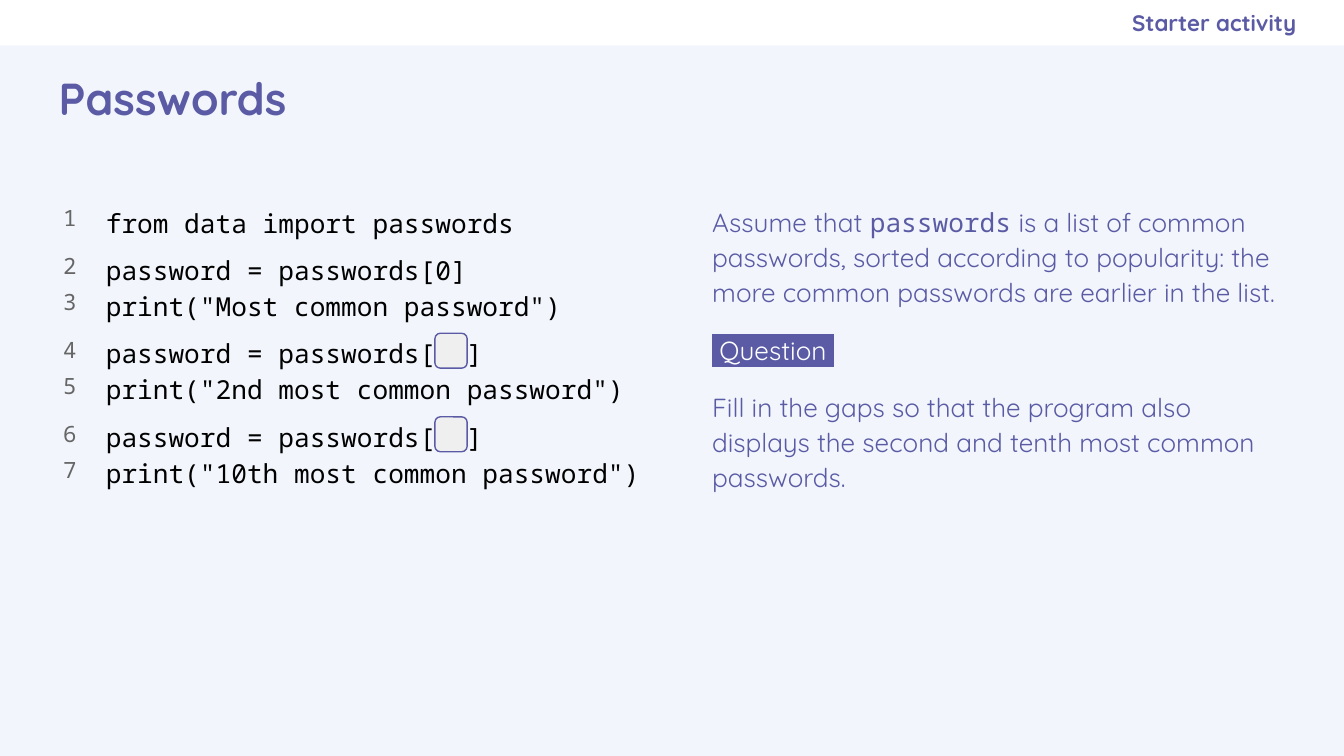
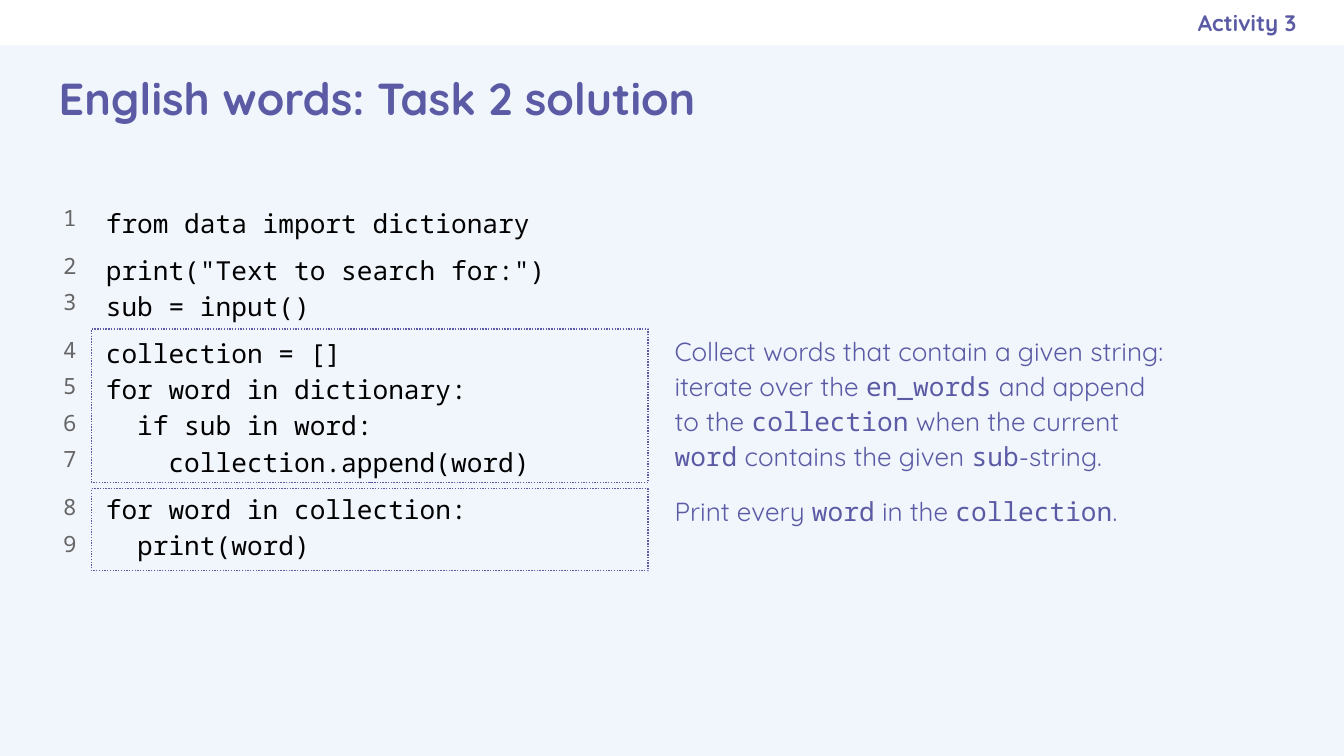
from pptx import Presentation
from pptx.dml.color import RGBColor
from pptx.enum.dml import MSO_LINE
from pptx.enum.shapes import MSO_SHAPE
from pptx.enum.text import MSO_ANCHOR, MSO_AUTO_SIZE, PP_ALIGN
from pptx.oxml.ns import qn
from pptx.util import Cm, Pt
from lxml.etree import SubElement

HUES = {
    "ink": "5B5BA5", "code": "000000", "count": "666666", "white": "FFFFFF",
    "gap": "EFEFEF", "pale": "F2F6FC", "tint": "F1F5FC",
}
SANS, MONO = "Quicksand", "Noto Sans Mono"
WIDE, HIGH, BAND = 25.4, 14.29, 0.86

HEAD = {"font": {"name": SANS, "size": Pt(24), "bold": True}, "hue": "ink"}
TAG = {"font": {"name": SANS, "size": Pt(12), "bold": True}, "hue": "ink",
       "para": {"alignment": PP_ALIGN.RIGHT}}
CODE = {"font": {"name": MONO, "size": Pt(14), "bold": False}, "hue": "code",
        "para": {"line_spacing": 1.15}}
COUNT = {"font": {"name": MONO, "size": Pt(12)}, "hue": "count",
         "para": {"alignment": PP_ALIGN.RIGHT, "line_spacing": 1.15}}
PROSE = {"font": {"name": SANS, "size": Pt(14)}, "hue": "ink",
         "para": {"line_spacing": 1.12}}


def color(key):
    return RGBColor.from_string(HUES[key])


def apply(item, form):
    for key, value in form.items():
        setattr(item, key, value)


def place(shape, box):
    names = ("left", "top", "width", "height")
    apply(shape, {name: Cm(size) for name, size in zip(names, box)})


def plain(para):
    props = para._p.get_or_add_pPr()
    props.set("marL", "0")
    props.set("indent", "0")
    SubElement(props, qn("a:buNone"))


def write(shape, lines, form, inset=(0.25, 0.25, 0.25, 0.25), anchor=MSO_ANCHOR.TOP):
    frame = shape.text_frame
    sides = ("margin_left", "margin_top", "margin_right", "margin_bottom")
    apply(frame, {side: Cm(size) for side, size in zip(sides, inset)})
    apply(frame, {"word_wrap": True, "auto_size": MSO_AUTO_SIZE.NONE,
                  "vertical_anchor": anchor})
    for index, (text, before) in enumerate(lines):
        para = frame.add_paragraph() if index else frame.paragraphs[0]
        base = {"alignment": PP_ALIGN.LEFT, "space_before": Pt(before)}
        apply(para, base | form.get("para", {}))
        plain(para)
        for turn, part in enumerate(text.split("`")):
            run = para.add_run()
            run.text = part
            apply(run.font, form["font"])
            if turn % 2:
                run.font.name = MONO
            run.font.color.rgb = color(form["hue"])


def text_box(slide, box):
    return slide.shapes.add_textbox(*map(Cm, box))


def block(slide, kind, box, fill=None, line=None, dash=None):
    shape = slide.shapes.add_shape(kind, *map(Cm, box))
    shape.shadow.inherit = False
    if fill:
        shape.fill.solid()
        shape.fill.fore_color.rgb = color(fill)
    else:
        shape.fill.background()
    if line:
        shape.line.color.rgb = color(line)
        apply(shape.line, {"width": Pt(0.75), "dash_style": dash})
    else:
        shape.line.fill.background()
    return shape


def base(deck, title, tag, hue):
    slide = deck.slides.add_slide(deck.slide_layouts[3])
    slide.background.fill.solid()
    slide.background.fill.fore_color.rgb = color(hue)
    band = block(slide, MSO_SHAPE.RECTANGLE, (0, 0, WIDE, BAND), "white")
    slide.shapes.title._element.addprevious(band._element)
    head, label = slide.shapes.title, slide.placeholders[2]
    place(head, (0.86, BAND, WIDE - 2 * 0.86, 1.96))
    write(head, [(title, 0)], HEAD, anchor=MSO_ANCHOR.MIDDLE)
    place(label, (14.6, 0, 9.9, BAND))
    write(label, [(tag, 0)], TAG, (0.25, 0.25, 0, 0.25), MSO_ANCHOR.MIDDLE)
    return slide


def listing(slide, box, groups):
    left, top, _, high = box
    lines = [(text, 6 if index and not spot else 0)
             for index, group in enumerate(groups)
             for spot, text in enumerate(group)]
    body = slide.placeholders[1]
    place(body, box)
    write(body, lines, CODE)
    counts = [(str(row), before + 3) for row, (_, before) in enumerate(lines, 1)]
    column = text_box(slide, (left - 0.86, top + 0.05, 0.56, high))
    write(column, counts, COUNT, (0, 0.15, 0, 0.25))


def prose(slide, box, lines):
    shape = text_box(slide, box)
    write(shape, lines, PROSE, (0.25, 0.25, 0.15, 0.25))
    return shape


def badge(para):
    run = para.runs[0]
    run.font.color.rgb = color("white")
    props = run.font._element
    mark = SubElement(props, qn("a:highlight"))
    SubElement(mark, qn("a:srgbClr")).set("val", HUES["ink"])
    props.find(qn("a:solidFill")).addnext(mark)


def quiz(deck, box):
    slide = base(deck, "Passwords", "Starter activity", "pale")
    left, top, _, high = box
    listing(slide, box, [
        ["from data import passwords"],
        ["password = passwords[0]", 'print("Most common password")'],
        ["password = passwords[  ]", 'print("2nd most common password")'],
        ["password = passwords[  ]", 'print("10th most common password")'],
    ])
    for drop in (2.72, 4.3):
        gap = block(slide, MSO_SHAPE.ROUNDED_RECTANGLE,
                    (left + 6.47, top + drop, 0.61, 0.66), "gap", "ink")
        gap.adjustments[0] = 0.17
    task = prose(slide, (left + 11.46, top, 11.35, high), [
        ("Assume that `passwords` is a list of common passwords, sorted according "
         "to popularity: the more common passwords are earlier in the list.", 0),
        (" Question ", 12),
        ("Fill in the gaps so that the program also displays the second and "
         "tenth most common passwords.", 12),
    ])
    badge(task.text_frame.paragraphs[1])


def answer(deck, box):
    slide = base(deck, "English words: Task 2 solution", "Activity 3", "tint")
    left, top, _, _ = box
    listing(slide, box, [
        ["from data import dictionary"],
        ['print("Text to search for:")', "sub = input()"],
        ["collection = []", "for word in dictionary:", "  if sub in word:",
         "    collection.append(word)"],
        ["for word in collection:", "  print(word)"],
    ])
    notes = [
        (2.64, 2.9, "Collect words that contain a given string: iterate over the "
         "`en_words` and append to the `collection` when the current `word` "
         "contains the given `sub`-string."),
        (5.66, 1.55, "Print every `word` in the `collection`."),
    ]
    for drop, tall, text in notes:
        block(slide, MSO_SHAPE.RECTANGLE, (left - 0.02, top + drop, 10.52, tall),
              line="ink", dash=MSO_LINE.ROUND_DOT)
        prose(slide, (left + 10.75, top + drop - 0.2, 9.7, 3.1), [(text, 0)])


def main():
    deck = Presentation()
    apply(deck, {"slide_width": Cm(WIDE), "slide_height": Cm(HIGH)})
    quiz(deck, (1.75, 3.58, 10.64, 9.42))
    answer(deck, (1.75, 3.58, 21.7, 9.42))
    deck.save("out.pptx")


if __name__ == "__main__":
    main()
